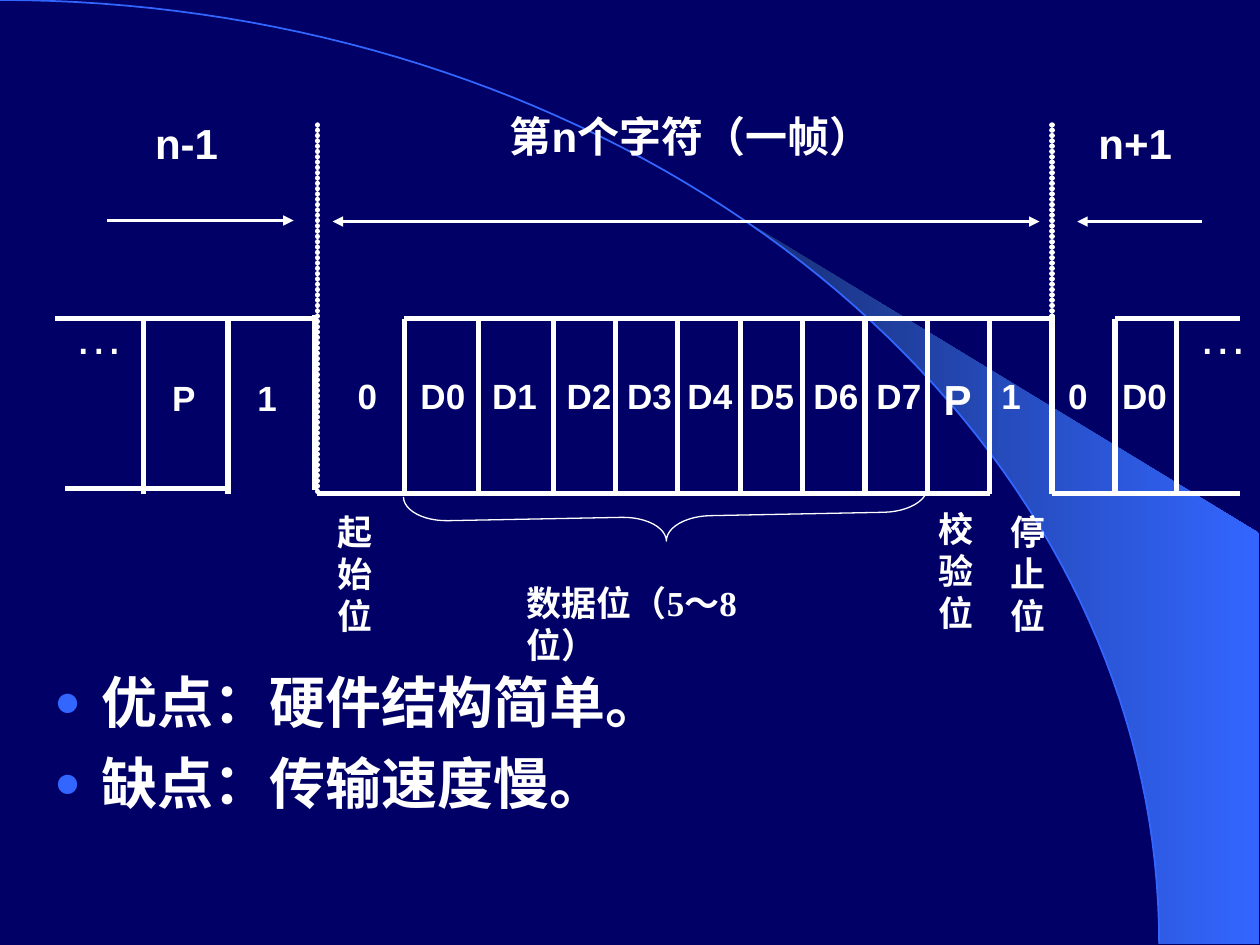
import math
import pptx
import pptx.dml.color
import pptx.enum.shapes
import pptx.enum.text
import pptx.oxml.ns
import pptx.util
from dataclasses import dataclass
from lxml import etree

Pt = pptx.util.Pt
qn = pptx.oxml.ns.qn
Shape = pptx.enum.shapes.MSO_SHAPE
Align = pptx.enum.text.PP_ALIGN


def rgb(code):
    return pptx.dml.color.RGBColor.from_string(code)


@dataclass(frozen=True)
class Theme:
    back: str = "000066"
    ink: str = "FFFFFF"
    blue: str = "3366FF"
    dusk: str = "182F76"
    sans: str = "Arial"
    serif: str = "Times New Roman"
    body: int = 32
    dots: int = 28
    head: int = 24
    label: int = 20
    thick: float = 3
    thin: float = 1.5
    hair: float = 0.75


THEME = Theme()


def style(run, size, face, bold=True):
    run.font.size = Pt(size)
    run.font.name = face
    run.font.bold = bold
    run.font.color.rgb = rgb(THEME.ink)


def text(slide, box, words, size, face=THEME.sans, bold=True, align=Align.CENTER, wrap=False):
    frame = slide.shapes.add_textbox(*map(Pt, box)).text_frame
    frame.word_wrap = wrap
    frame.auto_size = pptx.enum.text.MSO_AUTO_SIZE.SHAPE_TO_FIT_TEXT
    para = frame.paragraphs[0]
    para.alignment = align
    run = para.add_run()
    run.text = words
    style(run, size, face, bold)


def stroke(slide, start, end, width=THEME.thick, arrow=False, dotted=False):
    line = slide.shapes.add_connector(
        pptx.enum.shapes.MSO_CONNECTOR.STRAIGHT, *map(Pt, (*start, *end)))
    line.line.color.rgb = rgb(THEME.ink)
    line.line.width = Pt(width)
    props = line._element.spPr
    edge = props.get_or_add_ln()
    if dotted:
        edge.set("cap", "rnd")
        dash = etree.SubElement(edge, qn("a:custDash"))
        etree.SubElement(dash, qn("a:ds"), d="1000", sp="100000")
    if arrow:
        etree.SubElement(edge, qn("a:tailEnd"), type="triangle")
    etree.SubElement(props, qn("a:effectLst"))


def outline(slide, points, close):
    spots = [(Pt(x), Pt(y)) for x, y in points]
    form = slide.shapes.build_freeform(*spots[0], scale=1.0)
    form.add_line_segments(spots[1:], close=close)
    shape = form.convert_to_shape()
    shape.shadow.inherit = False
    return shape


def sweep(slide, box):
    left, top, width, height = box

    def arc(first, count):
        turns = [first + (math.pi / 2 - first) * i / count for i in range(count + 1)]
        return [(left + width * math.sin(t), top + height * (1 - math.cos(t))) for t in turns]

    edge, foot = 719.3, top + height
    start = math.asin(424 / width)
    beam = outline(slide, arc(start, 24) + [(edge, foot), (edge, 304.6)], True)
    beam.fill.gradient()
    beam.fill.gradient_angle = 0
    for stop, code in zip(beam.fill.gradient_stops, (THEME.dusk, THEME.blue)):
        stop.color.rgb = rgb(code)
    beam.line.fill.background()
    curve = outline(slide, arc(0, 72), False)
    curve.fill.background()
    curve.line.color.rgb = rgb(THEME.blue)
    curve.line.width = Pt(1)


def header(slide, box):
    left, top, width, height = box
    for x in (181.4, 601.2):
        stroke(slide, (left + x, top + 8), (left + x, top + height), dotted=True)
    for x, y, wide, words in ((81.4, 0, 50.4, "n-1"), (209.5, -3.6, 370, "第n个字符（一帧）"),
                              (620.6, 0, 56.2, "n+1")):
        text(slide, (left + x, top + y, wide, 36), words, THEME.head,
             wrap=wide > 100)
    for start, end, y in ((61.2, 167.8, 62.6), (373.7, 594, 63.2),
                          (423.4, 190.1, 63.2), (686.9, 615.6, 63.2)):
        stroke(slide, (left + start, top + y), (left + end, top + y), THEME.thin, True)


def wave(slide, box):
    left, top, width, height = box
    foot = top + height
    bits = [231.1 + 42.5 * i for i in range(2)] + [316.1 + 35.64 * i for i in range(9)]
    for x in [82, 130.3] + bits + [637.2, 672.5]:
        stroke(slide, (left + x, top), (left + x, foot))
    for x in (180, 601.2):
        stroke(slide, (left + x, top - 2), (left + x, foot - 2))
    rails = ((top, (31.7, 46.1)), (top, (38.9, 181.4)), (foot - 3, (37.4, 130.3)),
             (foot, (181.4, 551.5, 558.7, 565.9)), (top, (231.1, 544.3)),
             (top, (529.9, 594)), (top, (586.8, 601.2)),
             (foot, (601.2, 694.1, 708.5)), (top, (637.2, 701.3, 708.5)))
    for y, stops in rails:
        for start, end in zip(stops, stops[1:]):
            stroke(slide, (left + start, y), (left + end, y))
    mids = (253.1, 294.1, 336.6, 371.2, 405.7, 441, 477.7, 513.7)
    marks = [("P", 105.1, 29.5), ("1", 152.6, 29.5), ("0", 209.9, 28)]
    marks += [(f"D{i}", mid, 28) for i, mid in enumerate(mids)]
    marks += [("1", 577.8, 28), ("0", 616, 28), ("D0", 654.1, 28)]
    for words, mid, drop in marks:
        wide = 41 if len(words) > 1 else 28
        text(slide, (left + mid - wide / 2, top + drop, wide, 31.7), words, THEME.label)
    text(slide, (left + 531.7, top + 28, 31, 36), "P", THEME.head)
    for mid in (56.5, 698.8):
        text(slide, (left + mid - 21.2, top - 11, 42.4, 41), "…", THEME.dots, bold=False)


def notes(slide, box):
    left, top, width, height = box
    brace = slide.shapes.add_shape(
        Shape.LEFT_BRACE, *map(Pt, (left + 180.7, top - 142.6, 28.1, 299.5)))
    brace.rotation = 268.9
    brace.adjustments[0] = 0.9
    brace.shadow.inherit = False
    brace.fill.background()
    brace.line.color.rgb = rgb(THEME.ink)
    brace.line.width = Pt(THEME.hair)
    for x, y, wide, tall, words in ((0, 0, 41.8, 79.2, "起始位"),
                                    (108, 41, 174.2, 55.4, "数据位（5～8位）"),
                                    (343.4, -1.4, 41, 79.2, "校验位"),
                                    (384.4, 0, 41.8, 79.2, "停止位")):
        text(slide, (left + x, top + y, wide, tall), words, THEME.label,
             THEME.serif, align=Align.LEFT, wrap=True)


def points(slide, box, items):
    frame = slide.shapes.add_textbox(*map(Pt, box)).text_frame
    frame.word_wrap = True
    for i, words in enumerate(items):
        para = frame.add_paragraph() if i else frame.paragraphs[0]
        props = para._p.get_or_add_pPr()
        props.set("marL", str(Pt(27)))
        props.set("indent", str(-Pt(27)))
        tint = etree.SubElement(props, qn("a:buClr"))
        etree.SubElement(tint, qn("a:srgbClr"), val=THEME.blue)
        etree.SubElement(props, qn("a:buSzPct"), val="80000")
        etree.SubElement(props, qn("a:buFont"), typeface=THEME.sans)
        etree.SubElement(props, qn("a:buChar"), char="●")
        if i:
            para.space_before = Pt(8)
        run = para.add_run()
        run.text = words
        style(run, THEME.body, THEME.serif)


def main():
    deck = pptx.Presentation()
    deck.slide_width, deck.slide_height = Pt(720), Pt(540)
    slide = deck.slides.add_slide(deck.slide_layouts[6])
    slide.background.fill.solid()
    slide.background.fill.fore_color.rgb = rgb(THEME.back)
    sweep(slide, (0, 0, 662.4, 539.3))
    points(slide, (23.8, 378, 696.2, 162), ("优点：硬件结构简单。", "缺点：传输速度慢。"))
    header(slide, (0, 63.4, 720, 218.8))
    wave(slide, (0, 182.2, 720, 100))
    notes(slide, (185.8, 288, 426.2, 96.4))
    deck.save("out.pptx")


if __name__ == "__main__":
    main()
